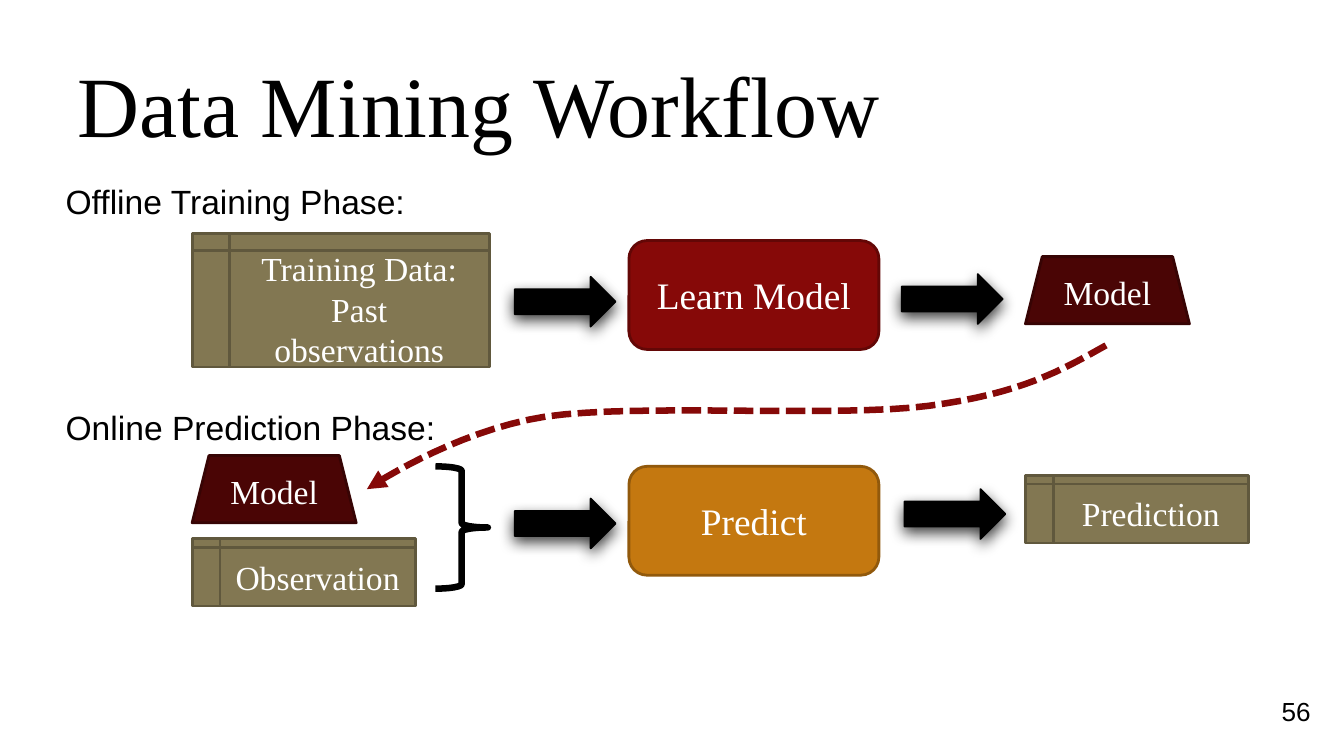
import pptx
import pptx.util
import pptx.dml.color
import pptx.enum.dml
import pptx.enum.shapes
import pptx.enum.text
import pptx.oxml
import pptx.oxml.ns

Inches = pptx.util.Inches
Pt = pptx.util.Pt
MSO = pptx.enum.shapes.MSO_SHAPE
ALIGN = pptx.enum.text.PP_ALIGN
ANCHOR = pptx.enum.text.MSO_ANCHOR
RGB = pptx.dml.color.RGBColor.from_string
NS = pptx.oxml.ns.nsdecls("a")

COLORS = {
    "black": "000000", "white": "FFFFFF",
    "red": "860908", "red_line": "630706",
    "orange": "C47810", "orange_line": "91590C",
    "olive": "827752", "olive_line": "60583D",
    "maroon": "4A0505", "maroon_line": "370404",
}
SERIF, SANS = "Times New Roman", "Arial"

prs = pptx.Presentation()
prs.slide_width = Inches(10)
prs.slide_height = Inches(10 * 9 / 16)
s = prs.slides.add_slide(prs.slide_layouts[6])


def write(sp, lines, size, font, color, align, anchor, wrap=True):
    tf = sp.text_frame
    tf.word_wrap = wrap
    tf.vertical_anchor = anchor
    for i, line in enumerate(lines):
        p = tf.paragraphs[0] if i == 0 else tf.add_paragraph()
        p.alignment = align
        r = p.add_run()
        r.text = line
        r.font.size = Pt(size)
        r.font.name = font
        r.font.color.rgb = RGB(COLORS[color])


def add_shape(kind, box, fill, line, width):
    sp = s.shapes.add_shape(kind, *map(Inches, box))
    sp.shadow.inherit = False
    if fill:
        sp.fill.solid()
        sp.fill.fore_color.rgb = RGB(COLORS[fill])
    else:
        sp.fill.background()
    sp.line.color.rgb = RGB(COLORS[line])
    sp.line.width = Pt(width)
    return sp


for text, box, size, font, align, anchor, wrap in [
    ("Data Mining Workflow", (0.48, 0.41, 8.52, 0.71), 46, SERIF, ALIGN.LEFT, ANCHOR.MIDDLE, True),
    ("56", (8.23, 5.17, 1.62, 0.24), 14, SANS, ALIGN.RIGHT, ANCHOR.MIDDLE, True),
    ("Offline Training Phase:", (0.39, 1.3, 2.77, 0.4), 18, SANS, ALIGN.LEFT, ANCHOR.TOP, False),
    ("Online Prediction Phase:", (0.39, 2.98, 2.98, 0.4), 18, SANS, ALIGN.LEFT, ANCHOR.TOP, False),
]:
    sp = s.shapes.add_textbox(*map(Inches, box))
    write(sp, [text], size, font, "black", align, anchor, wrap)

for kind, lines, box, color, size in [
    (MSO.ROUNDED_RECTANGLE, ["Learn Model"], (4.68, 1.79, 1.86, 0.81), "red", 20),
    (MSO.ROUNDED_RECTANGLE, ["Predict"], (4.68, 3.47, 1.86, 0.81), "orange", 20),
    (MSO.FLOWCHART_INTERNAL_STORAGE, ["Training Data:", "Past observations"],
     (1.43, 1.74, 2.21, 0.99), "olive", 18),
    (MSO.TRAPEZOID, ["Model"], (7.63, 1.91, 1.22, 0.5), "maroon", 18),
    (MSO.TRAPEZOID, ["Model"], (1.43, 3.39, 1.22, 0.5), "maroon", 18),
    (MSO.FLOWCHART_INTERNAL_STORAGE, ["Observation"], (1.43, 4.01, 1.66, 0.5), "olive", 18),
    (MSO.FLOWCHART_INTERNAL_STORAGE, ["Prediction"], (7.63, 3.54, 1.66, 0.5), "olive", 18),
]:
    sp = add_shape(kind, box, color, color + "_line", 1.5)
    write(sp, lines, size, SERIF, "white", ALIGN.CENTER, ANCHOR.MIDDLE)

for x, y in [(3.83, 2.06), (6.71, 2.04), (6.73, 3.64), (3.83, 3.71)]:
    sp = add_shape(MSO.RIGHT_ARROW, (x, y, 0.75, 0.37), "black", "black", 1)
    effects = sp.element.spPr.find(pptx.oxml.ns.qn("a:effectLst"))
    effects.append(pptx.oxml.parse_xml(
        f'<a:outerShdw {NS} blurRad="{Pt(8)}" dist="{Pt(3)}" dir="5400000" rotWithShape="0">'
        f'<a:srgbClr val="{COLORS["black"]}"><a:alpha val="75000"/></a:srgbClr></a:outerShdw>'))

add_shape(MSO.RIGHT_BRACE, (3.24, 3.47, 0.39, 0.91), None, "black", 3.5)

start = (8.23, 2.57)
curves = [
    [(7.91, 2.75), (7.6, 2.93), (6.91, 3.02)],
    [(6.21, 3.11), (4.76, 3), (4.06, 3.1)],
    [(3.36, 3.21), (2.73, 3.64), (2.73, 3.64)],
]
STEPS = 16
points = []
a = start
for b, c, d in curves:
    for i in range(1, STEPS + 1):
        t = i / STEPS
        u = 1 - t
        points.append([Inches(u**3 * a[k] + 3 * u**2 * t * b[k] + 3 * u * t**2 * c[k] + t**3 * d[k])
                       for k in (0, 1)])
    a = d
fb = s.shapes.build_freeform(Inches(start[0]), Inches(start[1]))
fb.add_line_segments(points, close=False)
sp = fb.convert_to_shape()
sp.shadow.inherit = False
sp.fill.background()
sp.line.color.rgb = RGB(COLORS["red"])
sp.line.width = Pt(3.5)
sp.line.dash_style = pptx.enum.dml.MSO_LINE.SQUARE_DOT
ln = sp.element.spPr.find(pptx.oxml.ns.qn("a:ln"))
ln.append(pptx.oxml.parse_xml(f"<a:round {NS}/>"))
ln.append(pptx.oxml.parse_xml(f'<a:tailEnd {NS} type="triangle"/>'))

prs.save("out.pptx")
